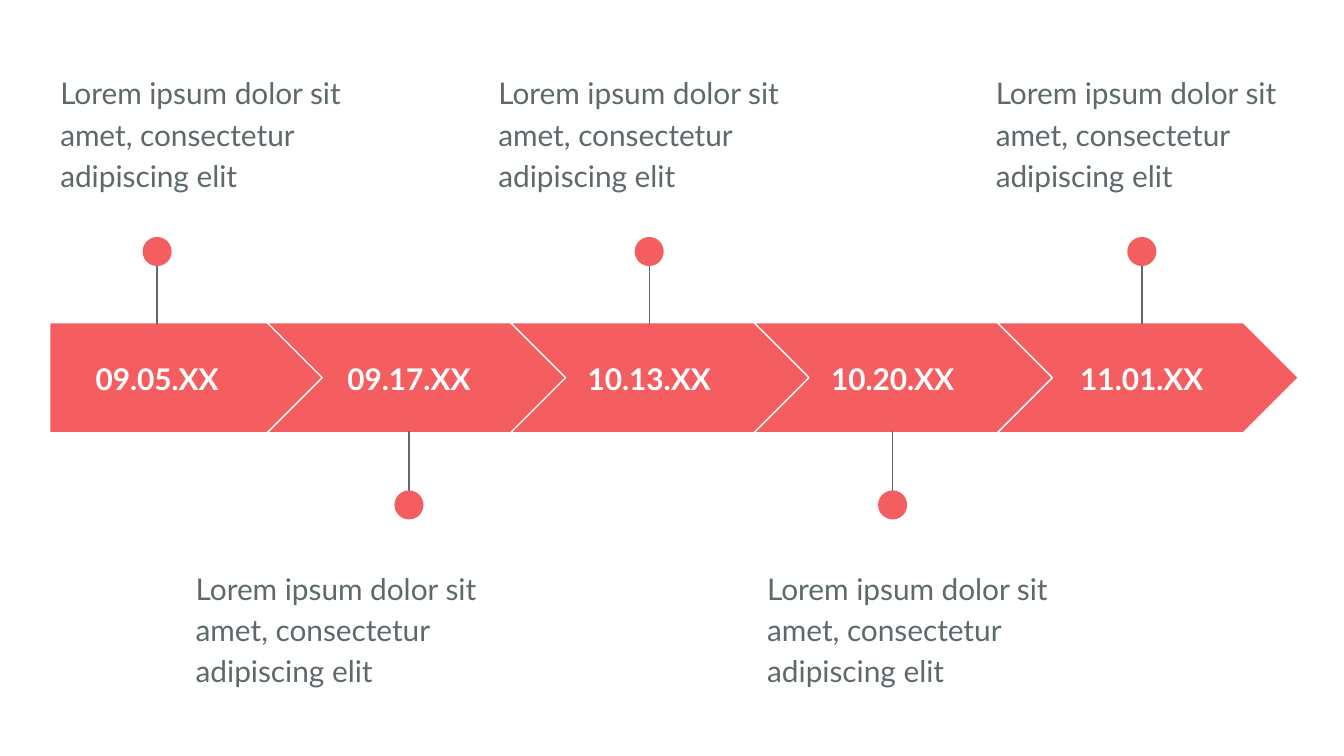
from lxml.etree import SubElement
from pptx import Presentation
from pptx.dml.color import RGBColor
from pptx.enum.shapes import MSO_CONNECTOR, MSO_SHAPE
from pptx.enum.text import MSO_ANCHOR, PP_ALIGN
from pptx.oxml.ns import qn
from pptx.util import Cm, Pt

CORAL = RGBColor(0xF5, 0x5E, 0x61)
SLATE = RGBColor(0x5E, 0x69, 0x6C)
WHITE = RGBColor(0xFF, 0xFF, 0xFF)

NOTE = "Lorem ipsum dolor sit amet, consectetur adipiscing elit"
# Date, pin centre and note left edge, in centimetres
MILESTONES = [
    ("09.05.XX", 2.97, 0.89),
    ("09.17.XX", 7.73, 3.45),
    ("10.13.XX", 12.27, 9.17),
    ("10.20.XX", 16.87, 14.25),
    ("11.01.XX", 21.58, 18.57),
]
BAND_TOP, BAND_HEIGHT = 6.1, 2.08
CHEVRON_LEFT, CHEVRON_WIDTH, CHEVRON_STEP = 5.05, 5.69, 4.6
DOT = 0.55
DATE_WIDTH, DATE_HEIGHT = 3.66, 1.3

DATE_FORMAT = {"alignment": PP_ALIGN.CENTER}
NOTE_FORMAT = {"line_spacing": 1.15, "space_after": Pt(16)}


def add_text(page, text, left, top, width, height, anchor, color, bold, para_format):
    box = page.shapes.add_textbox(Cm(left), Cm(top), Cm(width), Cm(height))
    frame = box.text_frame
    frame_format = {"word_wrap": True, "vertical_anchor": anchor}
    for side in ("left", "top", "right", "bottom"):
        frame_format[f"margin_{side}"] = Cm(0.25)
    for name, value in frame_format.items():
        setattr(frame, name, value)
    para = frame.paragraphs[0]
    for name, value in para_format.items():
        setattr(para, name, value)
    span = para.add_run()
    span.text = text
    for name, value in {"name": "Lato", "size": Pt(16), "bold": bold}.items():
        setattr(span.font, name, value)
    span.font.color.rgb = color


def add_filled(shapes, kind, left, top, width, height):
    shape = shapes.add_shape(kind, Cm(left), Cm(top), Cm(width), Cm(height))
    shape.shadow.inherit = False
    shape.fill.solid()
    shape.fill.fore_color.rgb = CORAL
    return shape


deck = Presentation()
deck.slide_width, deck.slide_height = Cm(25.4), Cm(14.29)
page = deck.slides.add_slide(deck.slide_layouts[6])

for index, (date, center, note_left) in enumerate(MILESTONES):
    # Arrow segment
    if index == 0:
        kind, left, width = MSO_SHAPE.PENTAGON, 0.94, 5.21
    else:
        kind, width = MSO_SHAPE.CHEVRON, CHEVRON_WIDTH
        left = CHEVRON_LEFT + (index - 1) * CHEVRON_STEP
    arrow = add_filled(page.shapes, kind, left, BAND_TOP, width, BAND_HEIGHT)
    arrow.adjustments[0] = 0.5
    arrow.line.color.rgb = WHITE
    arrow.line.width = Pt(0.75)

    # Date
    add_text(page, date, center - DATE_WIDTH / 2, 6.5, DATE_WIDTH, DATE_HEIGHT,
             MSO_ANCHOR.MIDDLE, WHITE, True, DATE_FORMAT)

    # Pins and notes alternate above and below the band
    if index % 2 == 0:
        pin_start, pin_end, dot_top, note_top = 4.57, 6.12, 4.48, 1.07
    else:
        pin_start, pin_end, dot_top, note_top = 9.7, 8.15, 9.27, 10.44

    # Pin
    pin = page.shapes.add_group_shape()
    stem = pin.shapes.add_connector(MSO_CONNECTOR.STRAIGHT, Cm(center), Cm(pin_start),
                                    Cm(center), Cm(pin_end))
    stem.line.color.rgb = SLATE
    stem.line.width = Pt(0.75)
    SubElement(stem.element.spPr, qn("a:effectLst"))
    dot = add_filled(pin.shapes, MSO_SHAPE.OVAL, center - DOT / 2, dot_top, DOT, DOT)
    dot.line.fill.background()

    # Note
    add_text(page, NOTE, note_left, note_top, 6.22, 2.51,
             MSO_ANCHOR.TOP, SLATE, False, NOTE_FORMAT)

deck.save("out.pptx")
